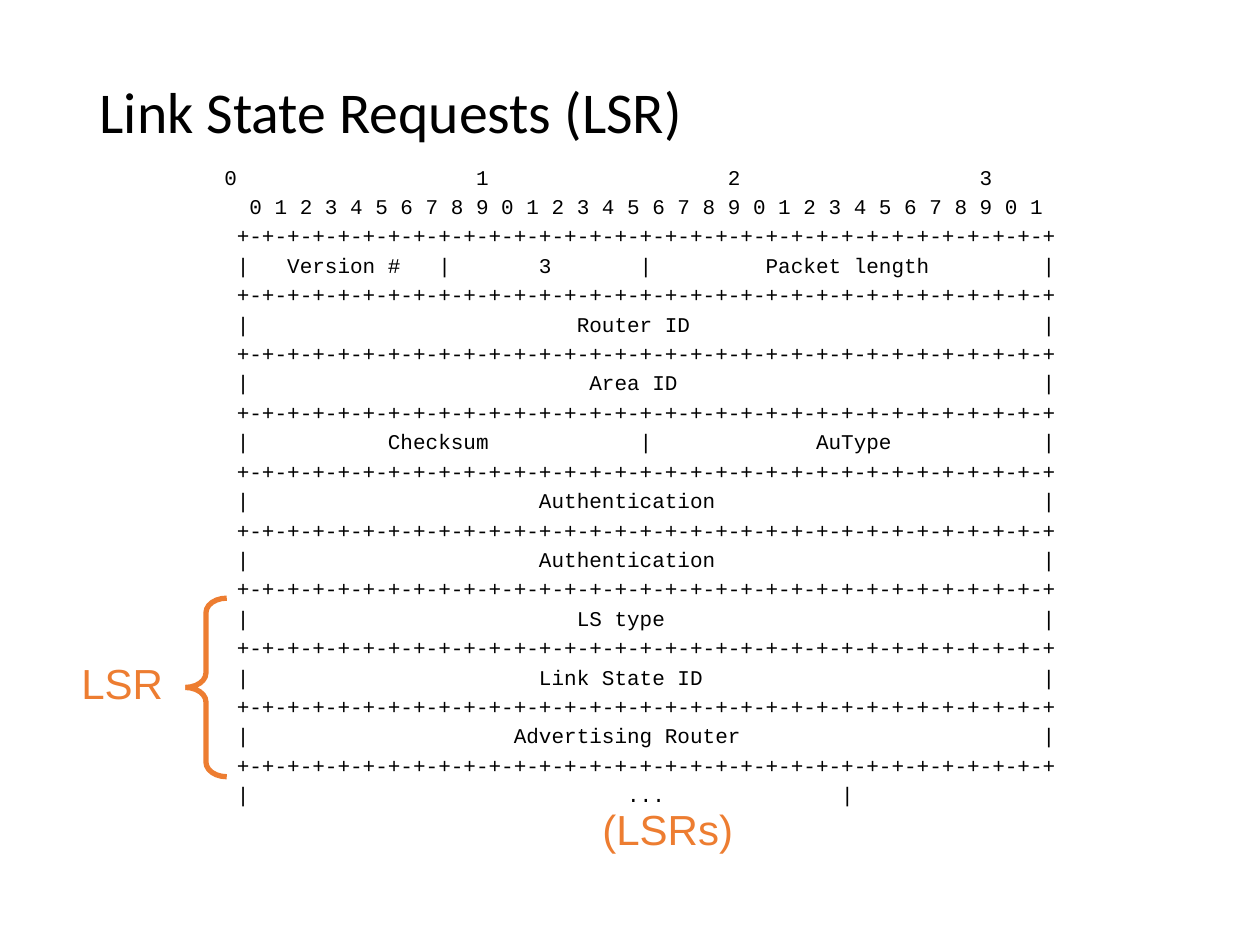
import pptx
import pptx.util
import pptx.dml.color
import pptx.enum.shapes
import pptx.enum.text
import pptx.oxml.ns
import lxml.etree

Pt, Inches = pptx.util.Pt, pptx.util.Inches
ALIGN = pptx.enum.text.PP_ALIGN
ANCHOR = pptx.enum.text.MSO_ANCHOR
SHAPE = pptx.enum.shapes.MSO_SHAPE

INK, ACCENT, PAPER = "000000", "ED7D31", "FFFFFF"
TITLE = dict(name="Calibri", size=Pt(33), color=INK)
CODE = dict(name="Courier New", size=Pt(12), color=INK)
LABEL = dict(name="Arial", size=Pt(24), color=ACCENT)
GAP = Pt(2.4)

# Packet layout: one string per 32-bit word, ruled off from the next
MARGIN = " " * 7
RULE = MARGIN + "+-" * 32 + "+"
SCALE = "0                   1                   2                   3"
WORDS = [
    "|   Version #   |       3       |         Packet length         |",
    "|                          Router ID                            |",
    "|                           Area ID                             |",
    "|           Checksum            |             AuType            |",
    "|                       Authentication                          |",
    "|                       Authentication                          |",
    "|                          LS type                              |",
    "|                       Link State ID                           |",
    "|                     Advertising Router                        |",
    "|                              ...              |",
]


def rgb(value):
    return pptx.dml.color.RGBColor.from_string(value)


class Deck:
    """Holds the presentation and current slide; boxes are shares of the slide."""

    def __init__(self, width, height):
        self.prs = pptx.Presentation()
        self.prs.slide_width, self.prs.slide_height = Inches(width), Inches(height)
        self.s = self.prs.slides.add_slide(self.prs.slide_layouts[1])

    def box(self, x, y, w, h):
        W, H = self.prs.slide_width, self.prs.slide_height
        return int(x * W), int(y * H), int(w * W), int(h * H)

    def place(self, sp, box):
        for key, value in zip(("left", "top", "width", "height"), self.box(*box)):
            setattr(sp, key, value)
        sp.text_frame.word_wrap = True
        sp.text_frame.auto_size = pptx.enum.text.MSO_AUTO_SIZE.NONE
        return sp.text_frame

    def run(self, p, text, style):
        r = p.add_run()
        r.text = text
        for key, value in style.items():
            if key == "color":
                r.font.color.rgb = rgb(value)
            else:
                setattr(r.font, key, value)

    def paragraph(self, p, runs, **fmt):
        for key, value in fmt.items():
            setattr(p, key, value)
        for text, style in runs:
            self.run(p, text, style)

    def title(self, text, box):
        tf = self.place(self.s.shapes.title, box)
        tf.vertical_anchor = ANCHOR.MIDDLE
        self.paragraph(tf.paragraphs[0], [(text, TITLE)],
                       alignment=ALIGN.LEFT, line_spacing=0.9)

    def listing(self, lines, box):
        tf = self.place(self.s.placeholders[1], box)
        for i, runs in enumerate(lines):
            p = tf.add_paragraph() if i else tf.paragraphs[0]
            self.paragraph(p, runs, space_before=GAP)
            pPr = p._p.get_or_add_pPr()
            pPr.set("marL", str(Inches(0.38)))
            pPr.set("indent", str(Inches(-0.38)))
            lxml.etree.SubElement(pPr, pptx.oxml.ns.qn("a:buNone"))

    def label(self, text, box, fill=None):
        sp = self.s.shapes.add_shape(SHAPE.RECTANGLE, *self.box(*box))
        sp.shadow.inherit = False
        sp.line.fill.background()
        if fill:
            sp.fill.solid()
            sp.fill.fore_color.rgb = rgb(fill)
        else:
            sp.fill.background()
        tf = self.place(sp, box)
        tf.vertical_anchor = ANCHOR.TOP
        self.paragraph(tf.paragraphs[0], [(text, LABEL)],
                       alignment=ALIGN.CENTER, space_before=GAP)

    def brace(self, box):
        sp = self.s.shapes.add_shape(SHAPE.LEFT_BRACE, *self.box(*box))
        sp.shadow.inherit = False
        sp.fill.background()
        sp.line.color.rgb = rgb(ACCENT)
        sp.line.width = Pt(3)
        sp.adjustments[0], sp.adjustments[1] = 0.35, 0.5


def main():
    d = Deck(10, 7.5)
    d.title("Link State Requests (LSR)", (0.069, 0.053, 0.862, 0.136))

    # Bit scale, then each word under its rule
    bits = " ".join(str(n % 10) for n in range(32))
    lines = [
        [(MARGIN + " ", {**CODE, "size": Pt(9)}), (SCALE, CODE)],
        [(MARGIN + " " + bits, CODE)],
    ]
    for word in WORDS:
        lines += [[(RULE, CODE)], [(MARGIN + word, CODE)]]
    d.listing(lines, (0.108, 0.167, 0.85, 0.789))

    # Marks for the repeated request record
    d.label("(LSRs)", (0.33, 0.844, 0.4, 0.067))
    d.brace((0.147, 0.633, 0.033, 0.189))
    d.label("LSR", (0.047, 0.689, 0.1, 0.067), PAPER)
    d.prs.save("out.pptx")


if __name__ == "__main__":
    main()
